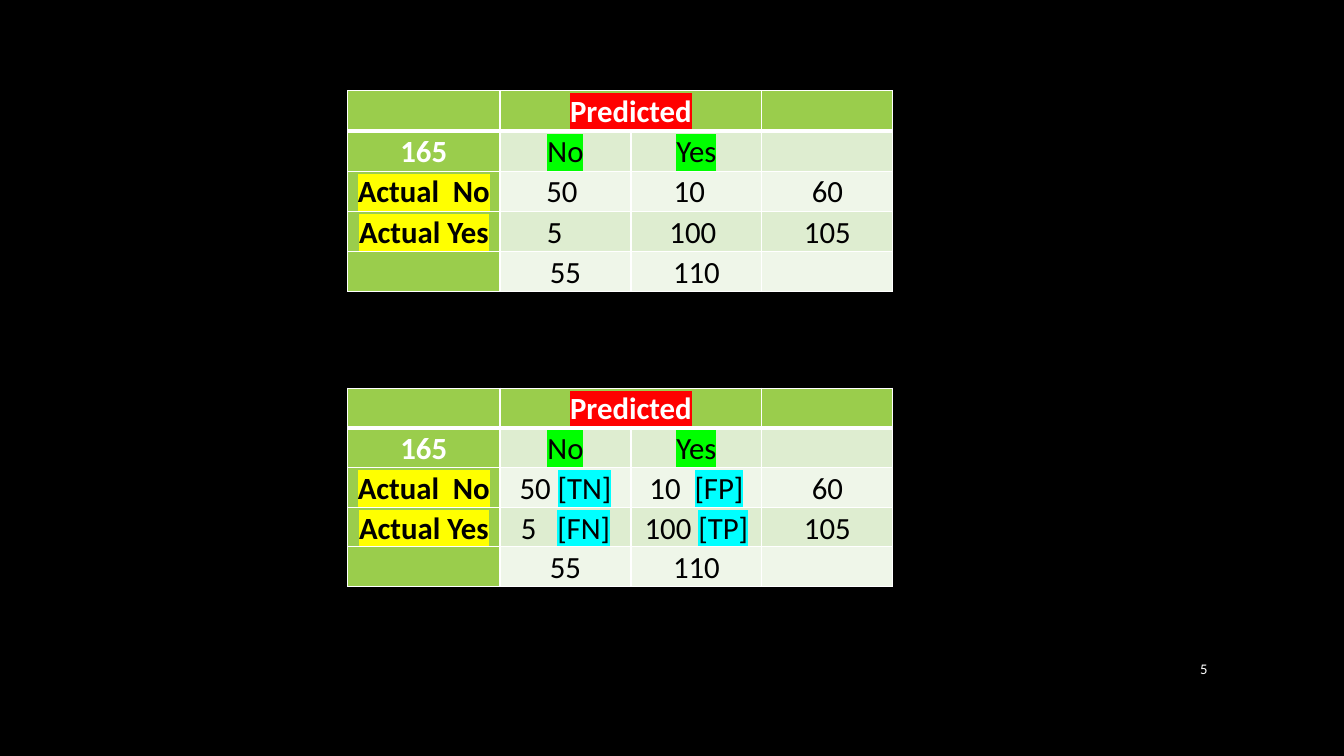
from lxml.etree import SubElement
from pptx import Presentation
from pptx.dml.color import RGBColor
from pptx.enum.text import MSO_ANCHOR, PP_ALIGN
from pptx.oxml.ns import qn
from pptx.util import Cm, Pt

BLACK = RGBColor(0x00, 0x00, 0x00)
WHITE = RGBColor(0xFF, 0xFF, 0xFF)
GREEN = RGBColor(0x9A, 0xCD, 0x4C)
BAND_DARK = RGBColor(0xDE, 0xED, 0xD0)
BAND_LIGHT = RGBColor(0xEF, 0xF6, 0xE9)
RED = RGBColor(0xFF, 0x00, 0x00)
LIME = RGBColor(0x00, 0xFF, 0x00)
YELLOW = RGBColor(0xFF, 0xFF, 0x00)
CYAN = RGBColor(0x00, 0xFF, 0xFF)

COLUMN_WIDTHS = (3.84, 3.3, 3.3, 3.3)
ROW_HEIGHT = 1.0
SPACE_WIDTH = 0.18

MATRIX = (
    ("", "Predicted", "", ""),
    ("165", "No", "Yes", ""),
    ("Actual  No", "50", "10", "60"),
    ("Actual Yes", "5", "100", "105"),
    ("", "55", "110", ""),
)
HIGHLIGHTS = {
    "Predicted": RED,
    "No": LIME,
    "Yes": LIME,
    "Actual  No": YELLOW,
    "Actual Yes": YELLOW,
}
GAPS = {"50": 1, "10": 2, "5": 3, "100": 1}
OUTCOMES = {"50": "[TN]", "10": "[FP]", "5": "[FN]", "100": "[TP]"}


class SlideBuilder:
    font_name = "Calibri"

    def __init__(self, deck):
        self.page = deck.slides.add_slide(deck.slide_layouts[6])
        self.page.background.fill.solid()
        self.page.background.fill.fore_color.rgb = BLACK

    def style(self, para, size, color, align, bold=False):
        para.alignment = align
        para.font.name = self.font_name
        para.font.size = Pt(size)
        para.font.bold = bold
        para.font.color.rgb = color

    def span(self, para, text, highlight=None):
        span = para.add_run()
        span.text = text
        if highlight is not None:
            mark = SubElement(span.font._element, qn("a:highlight"))
            SubElement(mark, qn("a:srgbClr"), val=str(highlight))

    def borders(self, cell, row):
        widths = {"L": 1, "R": 1, "T": 3 if row == 1 else 1, "B": 3 if row == 0 else 1}
        properties = cell._tc.get_or_add_tcPr()
        for side, width in widths.items():
            line = SubElement(properties, qn(f"a:ln{side}"), w=str(Pt(width)))
            fill = SubElement(line, qn("a:solidFill"))
            SubElement(fill, qn("a:srgbClr"), val=str(WHITE))

    def cell(self, cell, row, column, text, outcomes):
        self.borders(cell, row)
        header = row == 0 or column == 0
        cell.fill.solid()
        cell.fill.fore_color.rgb = GREEN if header else BAND_DARK if row % 2 else BAND_LIGHT
        gap = GAPS.get(text, 0)
        outcome = outcomes.get(text)
        cell.margin_left = Cm(0.18)
        cell.margin_right = Cm(0.18 + (0 if outcome else gap * SPACE_WIDTH))
        cell.margin_top = cell.margin_bottom = 0
        para = cell.text_frame.paragraphs[0]
        para.line_spacing = 1.07
        highlight = HIGHLIGHTS.get(text)
        color = WHITE if header and highlight != YELLOW else BLACK
        self.style(para, 22, color, PP_ALIGN.CENTER, header)
        if outcome:
            self.span(para, text + " " * gap)
            self.span(para, outcome, CYAN)
        elif text:
            self.span(para, text, highlight)

    def confusion_matrix(self, top, outcomes):
        table = self.page.shapes.add_table(
            len(MATRIX), len(COLUMN_WIDTHS), Cm(8.76), Cm(top),
            Cm(sum(COLUMN_WIDTHS)), Cm(ROW_HEIGHT * len(MATRIX)),
        ).table
        table.first_row = table.horz_banding = False
        for column, width in zip(table.columns, COLUMN_WIDTHS):
            column.width = Cm(width)
        for row, texts in enumerate(MATRIX):
            for column, text in enumerate(texts):
                self.cell(table.cell(row, column), row, column, text, outcomes)
        table.cell(0, 1).merge(table.cell(0, 2))

    def page_number(self, text):
        box = self.page.shapes.add_textbox(Cm(28.55), Cm(16.33), Cm(2.13), Cm(1.02))
        frame = box.text_frame
        frame.word_wrap = True
        frame.vertical_anchor = MSO_ANCHOR.MIDDLE
        para = frame.paragraphs[0]
        self.style(para, 10.5, WHITE, PP_ALIGN.RIGHT)
        self.span(para, text)


def main():
    deck = Presentation()
    deck.slide_width, deck.slide_height = Cm(33.87), Cm(19.05)
    builder = SlideBuilder(deck)
    builder.confusion_matrix(2.29, {})
    builder.page_number("5")
    builder.confusion_matrix(9.78, OUTCOMES)
    deck.save("out.pptx")


if __name__ == "__main__":
    main()
